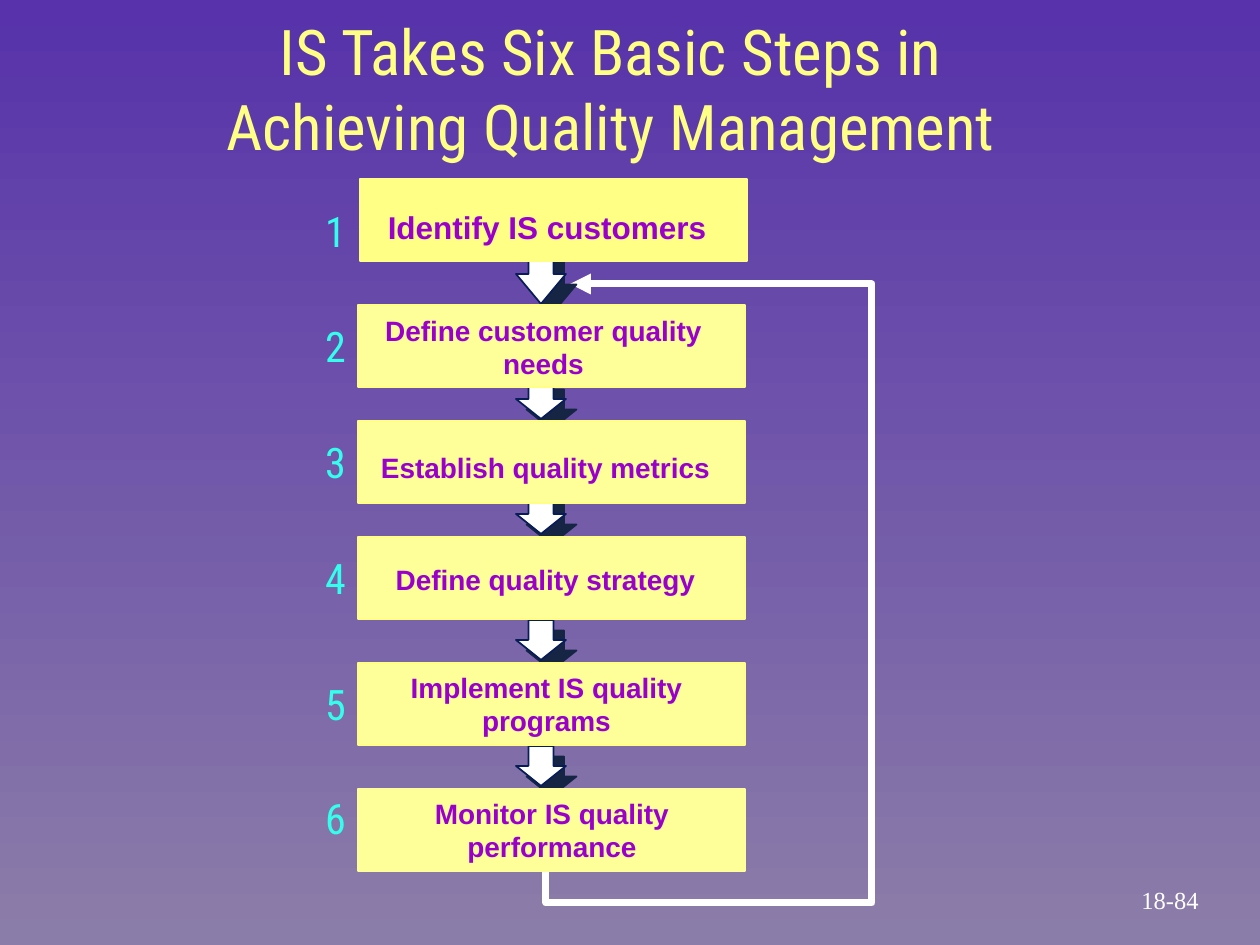
"""Build the slide on six steps in achieving quality management."""
from lxml.etree import SubElement
from pptx import Presentation
from pptx.dml.color import RGBColor
from pptx.enum.shapes import MSO_SHAPE as SHAPE
from pptx.enum.text import MSO_ANCHOR as ANCHOR, PP_ALIGN as ALIGN
from pptx.oxml.ns import qn
from pptx.util import Pt

PX = 914400 / 126
COLORS = dict(top="5732AA", bottom="8B7DA9", title="FFFF85", box="FFFF99", number="34FFEC",
              step="9900CC", white="FFFFFF", navy="081D58", shadow="162543")
TITLE = ["IS Takes Six Basic Steps in", "Achieving Quality Management"]
STEPS = [
    dict(text="Identify IS customers", top=179, number_top=199, label=(375, 202, 344, 50)),
    dict(text="Define customer quality needs", top=305, number_top=314, label=(362, 307, 363, 79)),
    dict(text="Establish quality metrics", top=421, number_top=430, label=(356, 444, 379, 45)),
    dict(text="Define quality strategy", top=537, number_top=546, label=(356, 556, 379, 45)),
    dict(text="Implement IS quality programs", top=663, number_top=672, label=(368, 664, 357, 79)),
    dict(text="Monitor IS quality performance", top=789, number_top=786, label=(368, 790, 368, 79)),
]
ARROWS = [(242, 62, 0.6), (379, 40, 0.5), (494, 40, 0.5), (620, 40, 0.5), (746, 40, 0.5)]
LOOP = [(546, 868), (546, 903), (872, 903), (872, 284), (570, 284)]
BOX_W, BOX_H, ARROW_W, ARROW_X = 387, 82, 50, 516


def px(*values):
    return [round(v * PX) for v in values]


def rgb(name):
    return RGBColor.from_string(COLORS[name])


def add_text(s, lines, box, size, font, color, bold=False, wrap=False, anchor=ANCHOR.TOP):
    tf = s.shapes.add_textbox(*px(*box)).text_frame
    tf.word_wrap, tf.vertical_anchor = wrap, anchor
    for i, line in enumerate(lines):
        p = tf.add_paragraph() if i else tf.paragraphs[0]
        p.alignment = ALIGN.CENTER
        r = p.add_run()
        r.text = line
        r.font.size, r.font.name, r.font.bold = Pt(size), font, bold
        r.font.color.rgb = rgb(color)


def add_block(s, kind, box, fill, line):
    sp = s.shapes.add_shape(kind, *px(*box))
    sp.shadow.inherit = False
    sp.fill.solid()
    sp.fill.fore_color.rgb = rgb(fill)
    sp.line.color.rgb = rgb(line)
    sp.line.width = Pt(1)
    return sp


def add_arrow(s, top, height, head):
    sp = add_block(s, SHAPE.DOWN_ARROW, (ARROW_X, top, ARROW_W, height), "white", "navy")
    sp.adjustments[0], sp.adjustments[1] = 0.5, head
    effects = sp._element.spPr.find(qn("a:effectLst"))
    shadow = SubElement(effects, qn("a:outerShdw"), dist=str(Pt(8.5)), dir="2700000",
                        algn="ctr", rotWithShape="0")
    SubElement(shadow, qn("a:srgbClr"), val=COLORS["shadow"])


def add_loop(s):
    builder = s.shapes.build_freeform(*LOOP[0], scale=PX)
    builder.add_line_segments(LOOP[1:], close=False)
    sp = builder.convert_to_shape()
    sp.shadow.inherit = False
    sp.fill.background()
    sp.line.color.rgb = rgb("white")
    sp.line.width = Pt(4)
    ln = sp.line._get_or_add_ln()
    SubElement(ln, qn("a:round"))
    SubElement(ln, qn("a:tailEnd"), type="triangle")


def main():
    prs = Presentation()
    prs.slide_width, prs.slide_height = px(1260, 945)
    s = prs.slides.add_slide(prs.slide_layouts[6])
    fill = s.background.fill
    fill.gradient()
    fill.gradient_angle = 270
    for stop, name, position in zip(fill.gradient_stops, ("top", "bottom"), (0, 1)):
        stop.color.rgb = rgb(name)
        stop.position = position

    add_loop(s)
    for arrow in ARROWS:
        add_arrow(s, *arrow)
    add_text(s, TITLE, (135, 6, 952, 164), 36, "Roboto Condensed", "title")
    for n, step in enumerate(STEPS, 1):
        first, last = n == 1, n == len(STEPS)
        add_block(s, SHAPE.RECTANGLE, (360 if first else 358, step["top"], BOX_W, BOX_H),
                  "title" if first else "box", "box" if last else "title")
        add_text(s, [str(n)], (311, step["number_top"], 49, 63), 24, "Roboto Condensed", "number")
        add_text(s, [step["text"]], step["label"], 18 if first else 16, "Arial", "step",
                 bold=True, wrap=not first)
    add_text(s, ["18-84"], (1090, 878, 160, 43), 14, "Times New Roman", "white",
             anchor=ANCHOR.MIDDLE)
    prs.save("out.pptx")


if __name__ == "__main__":
    main()
